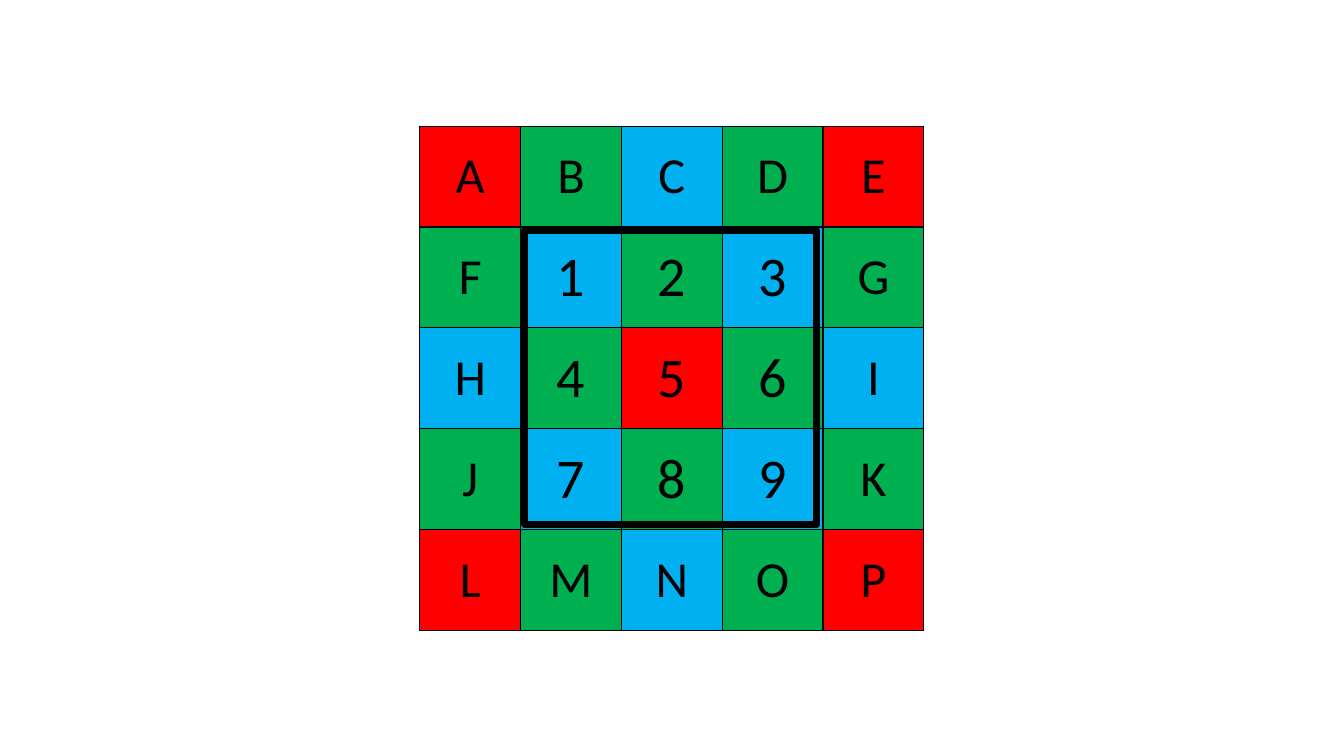
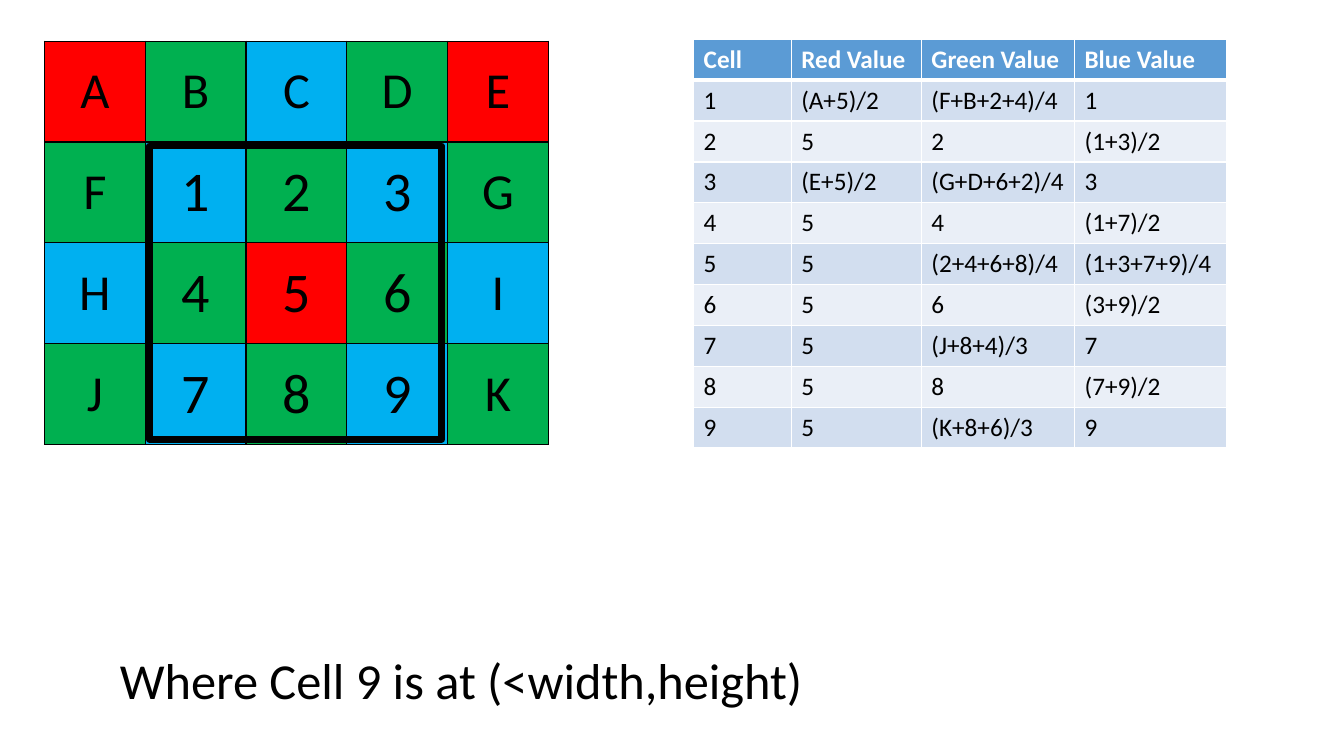
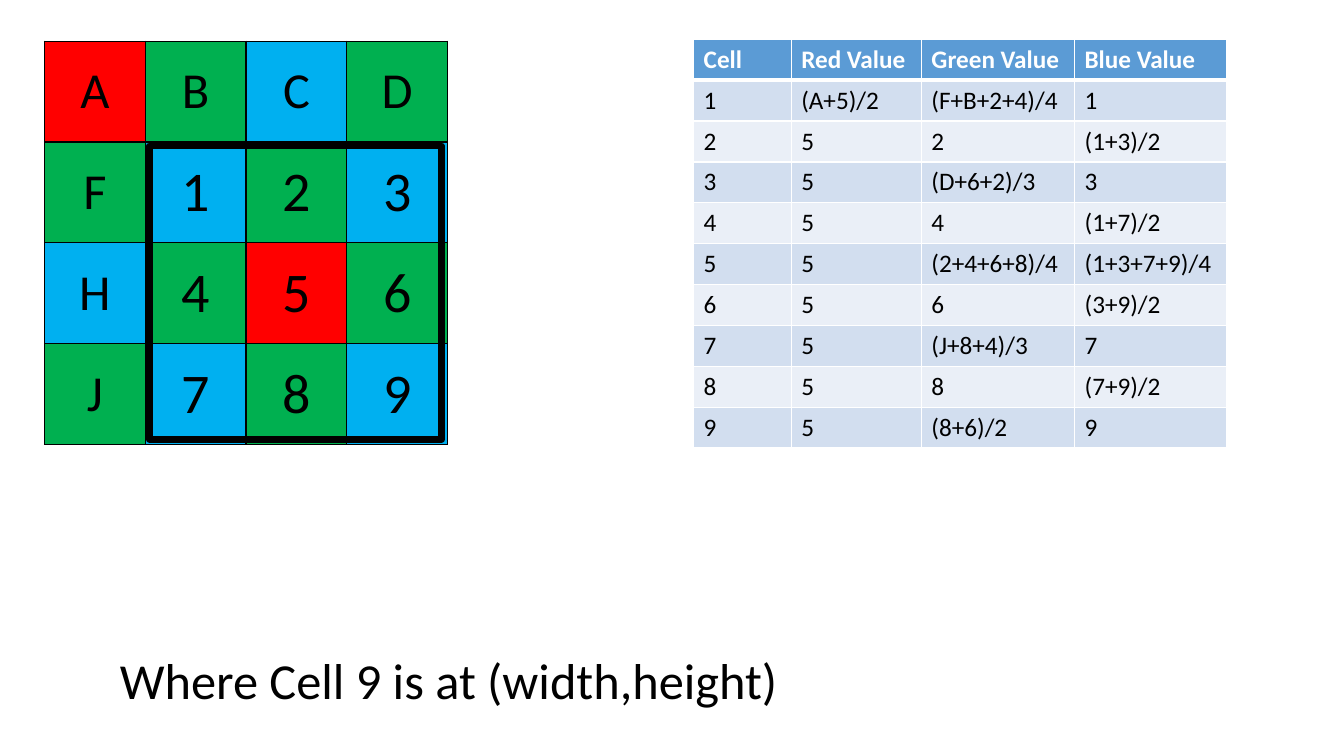
from lxml import etree
from pptx import Presentation
from pptx.dml.color import RGBColor
from pptx.enum.shapes import MSO_SHAPE
from pptx.enum.text import MSO_ANCHOR, MSO_AUTO_SIZE, PP_ALIGN
from pptx.oxml.ns import qn
from pptx.util import Cm, Pt

# Shared style
BLACK = RGBColor(0x00, 0x00, 0x00)
WHITE = RGBColor(0xFF, 0xFF, 0xFF)
RED = RGBColor(0xFF, 0x00, 0x00)
GREEN = RGBColor(0x00, 0xB0, 0x50)
BLUE = RGBColor(0x00, 0xB0, 0xF0)
HEADER_FILL = RGBColor(0x5B, 0x9B, 0xD5)
BAND_FILLS = (RGBColor(0xEA, 0xEF, 0xF7), RGBColor(0xD2, 0xDE, 0xEF))
FONT = "Calibri"
LEFT, CENTER = PP_ALIGN.LEFT, PP_ALIGN.CENTER
TOP, MIDDLE = MSO_ANCHOR.TOP, MSO_ANCHOR.MIDDLE
RECTANGLE = MSO_SHAPE.RECTANGLE
FIT_SHAPE = MSO_AUTO_SIZE.SHAPE_TO_FIT_TEXT

# Measures in centimetres
PIXEL_SIZE = 2.54
FRAME_OFFSET, FRAME_WIDTH, FRAME_HEIGHT = 2.64, 7.37, 7.39
FORMULA_COLUMNS = (2.46, 3.28, 3.86, 3.84)
FORMULA_ROW = 1.03
CORNER_GRID = (1.12, 1.04)
FORMULA_PLACE = (17.48, 0.99)
CAPTION_PLACE = (2.77, 16.23)

# Content
PIXELS = ("ABCDE", "F123G", "H456I", "J789K", "LMNOP")
HEADERS = ("Cell", "Red Value", "Green Value", "Blue Value")
BOTTOM_EDGE = (
    ("(A+5)/2", "(F+B+2+4)/4", "1"),
    ("5", "2", "(1+3)/2"),
    ("(E+5)/2", "(G+D+6+2)/4", "3"),
    ("5", "4", "(1+7)/2"),
    ("5", "(2+4+6+8)/4", "(1+3+7+9)/4"),
    ("5", "6", "(3+9)/2"),
    ("5", "(J+8+4)/3", "7"),
    ("5", "8", "(7+9)/2"),
    ("5", "(K+8+6)/3", "9"),
)
CORNER_CHANGES = {2: ("5", "(D+6+2)/3", "3"), 8: ("5", "(8+6)/2", "9")}
BOTTOM_CORNER = [CORNER_CHANGES.get(index, row) for index, row in enumerate(BOTTOM_EDGE)]


def write_text(frame, text, size=18, color=BLACK, bold=False, align=LEFT):
    paragraph = frame.paragraphs[0]
    paragraph.alignment = align
    run = paragraph.add_run()
    run.text = text
    run.font.name = FONT
    run.font.size = Pt(size)
    run.font.bold = bold
    run.font.color.rgb = color


def set_borders(cell, color, width=1, bottom=1):
    properties = cell._tc.get_or_add_tcPr()
    for index, side in enumerate("LRTB"):
        points = bottom if side == "B" else width
        line = etree.Element(qn(f"a:ln{side}"), w=str(Pt(points)))
        fill = etree.SubElement(line, qn("a:solidFill"))
        etree.SubElement(fill, qn("a:srgbClr"), val=str(color))
        properties.insert(index, line)


def add_plain_table(slide, left, top, column_widths, row_heights):
    table = slide.shapes.add_table(
        len(row_heights), len(column_widths), Cm(left), Cm(top),
        Cm(sum(column_widths)), Cm(sum(row_heights))).table
    table.horz_banding = False
    for column, width in zip(table.columns, column_widths):
        column.width = Cm(width)
    for row, height in zip(table.rows, row_heights):
        row.height = Cm(height)
    return table


def fill_cell(cell, text, fill, border, bottom=1, anchor=TOP, **text_format):
    cell.fill.solid()
    cell.fill.fore_color.rgb = fill
    cell.vertical_anchor = anchor
    write_text(cell.text_frame, text, **text_format)
    set_borders(cell, border, bottom=bottom)


def pixel_color(row, column):
    if (row + column) % 2:
        return GREEN
    return RED if row % 2 == 0 and (row + column) % 4 == 0 else BLUE


# Colour filter grid with its 3 x 3 window
def add_pixel_grid(slide, left, top, rows, columns):
    table = add_plain_table(slide, left, top, [PIXEL_SIZE] * columns, [PIXEL_SIZE] * rows)
    table.first_row = False
    for row in range(rows):
        for column in range(columns):
            label = PIXELS[row][column]
            fill_cell(table.cell(row, column), label, pixel_color(row, column), BLACK,
                      anchor=MIDDLE, align=CENTER, size=40 if label.isdigit() else 36)
    window = slide.shapes.add_shape(
        RECTANGLE, Cm(left + FRAME_OFFSET), Cm(top + FRAME_OFFSET),
        Cm(FRAME_WIDTH), Cm(FRAME_HEIGHT))
    window.shadow.inherit = False
    window.fill.background()
    window.line.color.rgb = BLACK
    window.line.width = Pt(5)


# Interpolation formulas for each cell
def add_formula_table(slide, left, top, formulas):
    table = add_plain_table(slide, left, top, FORMULA_COLUMNS,
                            [FORMULA_ROW] * (len(formulas) + 1))
    for column, header in enumerate(HEADERS):
        fill_cell(table.cell(0, column), header, HEADER_FILL, WHITE,
                  bottom=3, color=WHITE, bold=True)
    for row, values in enumerate(formulas, start=1):
        for column, value in enumerate((str(row), *values)):
            cell = table.cell(row, column)
            fill_cell(cell, value, BAND_FILLS[row % 2], WHITE)


def add_caption(slide, left, top, width, text):
    box = slide.shapes.add_textbox(Cm(left), Cm(top), Cm(width), Cm(1.8))
    box.text_frame.word_wrap = False
    box.text_frame.auto_size = FIT_SHAPE
    write_text(box.text_frame, text, size=36)


def add_blank_slide(presentation):
    return presentation.slides.add_slide(presentation.slide_layouts[6])


def add_edge_slide(presentation, columns, formulas, caption, caption_width):
    slide = add_blank_slide(presentation)
    add_pixel_grid(slide, *CORNER_GRID, rows=4, columns=columns)
    add_formula_table(slide, *FORMULA_PLACE, formulas)
    add_caption(slide, *CAPTION_PLACE, caption_width, caption)


presentation = Presentation()
presentation.slide_width = Cm(33.87)
presentation.slide_height = Cm(19.05)

# Full neighbourhood, bottom edge, bottom right corner
add_pixel_grid(add_blank_slide(presentation), 10.58, 3.18, rows=5, columns=5)
add_edge_slide(presentation, 5, BOTTOM_EDGE, "Where Cell 9 is at (<width,height)", 17.88)
add_edge_slide(presentation, 4, BOTTOM_CORNER, "Where Cell 9 is at (width,height)", 17.25)

presentation.save("out.pptx")
